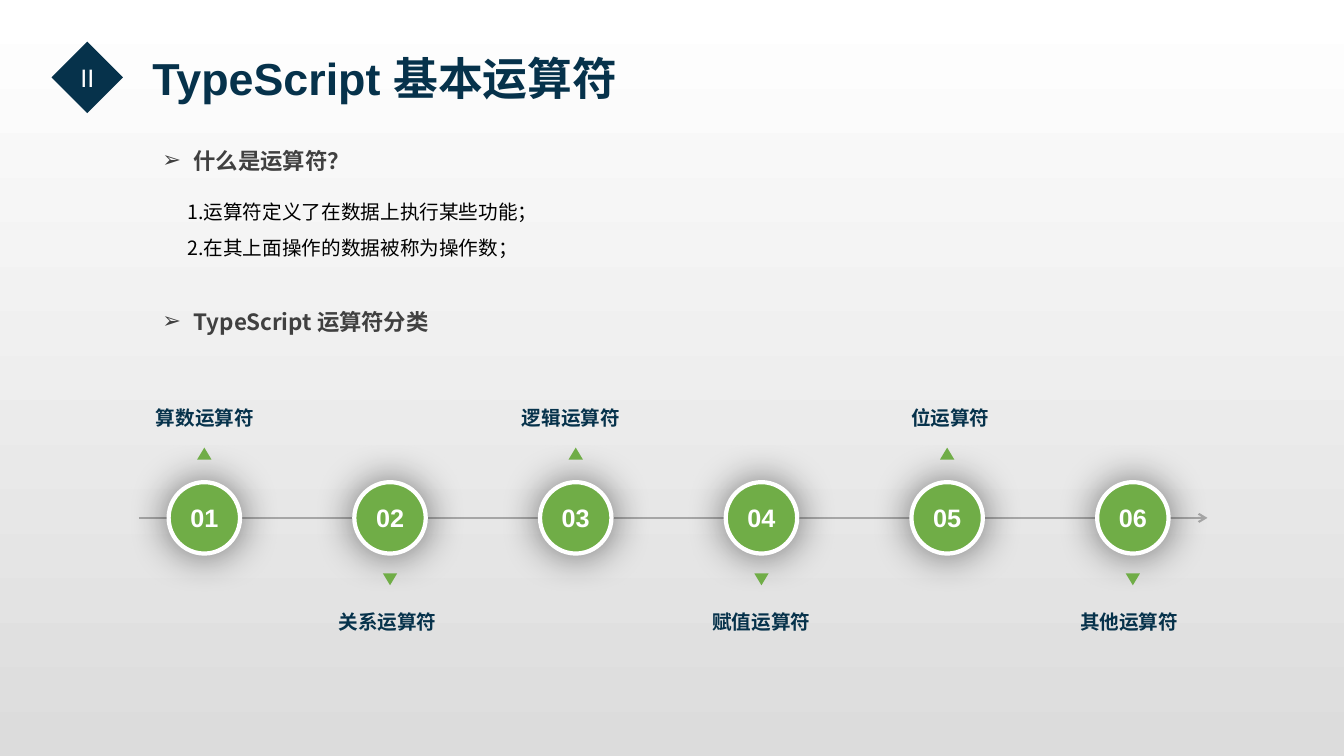
from dataclasses import dataclass

from lxml.etree import SubElement
from pptx import Presentation
from pptx.dml.color import RGBColor
from pptx.enum.shapes import MSO_CONNECTOR, MSO_SHAPE
from pptx.enum.text import MSO_ANCHOR, MSO_AUTO_SIZE, PP_ALIGN
from pptx.oxml.ns import qn
from pptx.util import Cm, Pt

NAVY, GREEN, GREY, WHITE, BLACK = "06324B", "70AD47", "404040", "FFFFFF", "000000"
LATIN, CJK = "Arial", "Noto Sans CJK SC"
AXIS_Y, CIRCLE, FIRST_X, STEP = 13.05, 1.8, 5.15, 4.68
MARK_W, MARK_H = 0.36, 0.3


@dataclass
class Style:
    size: float
    color: str
    font: str = LATIN
    bold: bool = False
    align: PP_ALIGN = PP_ALIGN.LEFT
    spacing: float = 1.0
    bullet: str = ""


@dataclass
class Step:
    label: str
    left: float
    width: float


STEPS = [
    Step("算数运算符", 3.68, 3.56),
    Step("关系运算符", 8.28, 3.51),
    Step("逻辑运算符", 12.9, 3.35),
    Step("赋值运算符", 17.7, 3.35),
    Step("位运算符", 22.71, 2.62),
    Step("其他运算符", 26.97, 3.15),
]
HEADINGS = [("什么是运算符？", 3.28), ("TypeScript 运算符分类", 7.34)]
POINTS = ["1.运算符定义了在数据上执行某些功能；", "2.在其上面操作的数据被称为操作数；"]

TITLE = Style(32, NAVY, bold=True)
BADGE = Style(18, WHITE, align=PP_ALIGN.CENTER)
HEADING = Style(16, GREY, CJK, True, spacing=1.5, bullet="➢")
POINT = Style(14, BLACK, CJK, align=PP_ALIGN.JUSTIFY, spacing=1.5)
LABEL = Style(14, NAVY, bold=True, align=PP_ALIGN.JUSTIFY, spacing=1.2)
NUMBER = Style(18, WHITE, bold=True, align=PP_ALIGN.CENTER)


def rgb(value: str) -> RGBColor:
    return RGBColor.from_string(value)


def place(sp, left: float, top: float, width: float, height: float) -> None:
    box = dict(left=left, top=top, width=width, height=height)
    for name, value in box.items():
        setattr(sp, name, Cm(value))


def write(sp, lines: list[str], style: Style, inset: tuple[float, float] = (0.25, 0.13),
          anchor: MSO_ANCHOR = MSO_ANCHOR.TOP) -> None:
    tf = sp.text_frame
    x, y = Cm(inset[0]), Cm(inset[1])
    frame = dict(word_wrap=True, auto_size=MSO_AUTO_SIZE.NONE, vertical_anchor=anchor,
                 margin_left=x, margin_right=x, margin_top=y, margin_bottom=y)
    for name, value in frame.items():
        setattr(tf, name, value)
    for i, line in enumerate(lines):
        p = tf.add_paragraph() if i else tf.paragraphs[0]
        pPr = p._p.get_or_add_pPr()
        indent = Cm(0.79) if style.bullet else 0
        pPr.set("marL", str(indent))
        pPr.set("indent", str(-indent))
        if style.bullet:
            SubElement(pPr, qn("a:buFont"), typeface=LATIN)
            SubElement(pPr, qn("a:buChar"), char=style.bullet)
        else:
            SubElement(pPr, qn("a:buNone"))
        layout = dict(alignment=style.align, line_spacing=style.spacing,
                      space_before=Pt(0), space_after=Pt(0))
        for name, value in layout.items():
            setattr(p, name, value)
        r = p.add_run()
        r.text = line
        for name, value in dict(size=Pt(style.size), bold=style.bold, name=style.font).items():
            setattr(r.font, name, value)
        r.font.color.rgb = rgb(style.color)
        SubElement(r._r.get_or_add_rPr(), qn("a:ea"), typeface=CJK)


def add_text(s, left: float, top: float, width: float, height: float,
             text: str, style: Style, inset: tuple[float, float] = (0.25, 0.13)) -> None:
    sp = s.shapes.add_textbox(Cm(left), Cm(top), Cm(width), Cm(height))
    write(sp, [text], style, inset)


def add_solid(s, kind: MSO_SHAPE, left: float, top: float, width: float, height: float,
              color: str):
    sp = s.shapes.add_shape(kind, Cm(left), Cm(top), Cm(width), Cm(height))
    sp.shadow.inherit = False
    sp.fill.solid()
    sp.fill.fore_color.rgb = rgb(color)
    sp.line.fill.background()
    return sp


def add_glow(sp) -> None:
    effects = sp._element.spPr.find(qn("a:effectLst"))
    shadow = SubElement(effects, qn("a:outerShdw"), blurRad=str(Pt(29)), dist="0", dir="0",
                        algn="ctr", rotWithShape="0")
    color = SubElement(shadow, qn("a:srgbClr"), val=BLACK)
    SubElement(color, qn("a:alpha"), val="52000")


def add_axis(s) -> None:
    line = s.shapes.add_connector(MSO_CONNECTOR.STRAIGHT, Cm(3.5), Cm(AXIS_Y),
                                  Cm(30.43), Cm(AXIS_Y))
    line.line.color.rgb = rgb("A6A6A6")
    line.line.width = Pt(1.5)
    SubElement(line.line._get_or_add_ln(), qn("a:tailEnd"), type="arrow")
    SubElement(line._element.spPr, qn("a:effectLst"))


def add_step(s, index: int, step: Step) -> None:
    center = FIRST_X + index * STEP
    above = index % 2 == 0
    sp = add_solid(s, MSO_SHAPE.OVAL, center - CIRCLE / 2, AXIS_Y - CIRCLE / 2,
                   CIRCLE, CIRCLE, GREEN)
    sp.line.color.rgb = rgb(WHITE)
    sp.line.width = Pt(3)
    add_glow(sp)
    write(sp, [f"{index + 1:02d}"], NUMBER, (0, 0), MSO_ANCHOR.MIDDLE)

    mark = add_solid(s, MSO_SHAPE.ISOSCELES_TRIANGLE, center - MARK_W / 2,
                     11.28 if above else 14.45, MARK_W, MARK_H, GREEN)
    if not above:
        mark._element.spPr.xfrm.set("flipV", "1")
    add_text(s, step.left, 9.98 if above else 15.11, step.width, 0.94, step.label, LABEL)


def main() -> None:
    prs = Presentation()
    prs.slide_width, prs.slide_height = Cm(33.87), Cm(19.05)
    s = prs.slides.add_slide(prs.slide_layouts[1])

    # Background
    fill = s.background.fill
    fill.gradient()
    fill.gradient_angle = 270
    for stop, color in zip(fill.gradient_stops, (WHITE, "DCDCDC")):
        stop.color.rgb = rgb(color)

    # Badge and title
    badge = add_solid(s, MSO_SHAPE.DIAMOND, 1.3, 1.05, 1.8, 1.8, NAVY)
    write(badge, ["II"], BADGE, (0, 0), MSO_ANCHOR.MIDDLE)
    title, body = s.placeholders
    place(title, 3.84, 1.14, 18.92, 1.63)
    write(title, ["TypeScript 基本运算符"], TITLE, (0, 0.13))

    # Headings and definition
    for text, top in HEADINGS:
        add_text(s, 3.96, top, 10.06, 1.04, text, HEADING, (0.13, 0.08))
    place(body, 4.47, 4.62, 10.95, 1.96)
    write(body, POINTS, POINT)

    # Timeline of operator kinds
    add_axis(s)
    for index, step in enumerate(STEPS):
        add_step(s, index, step)

    prs.save("out.pptx")


if __name__ == "__main__":
    main()
